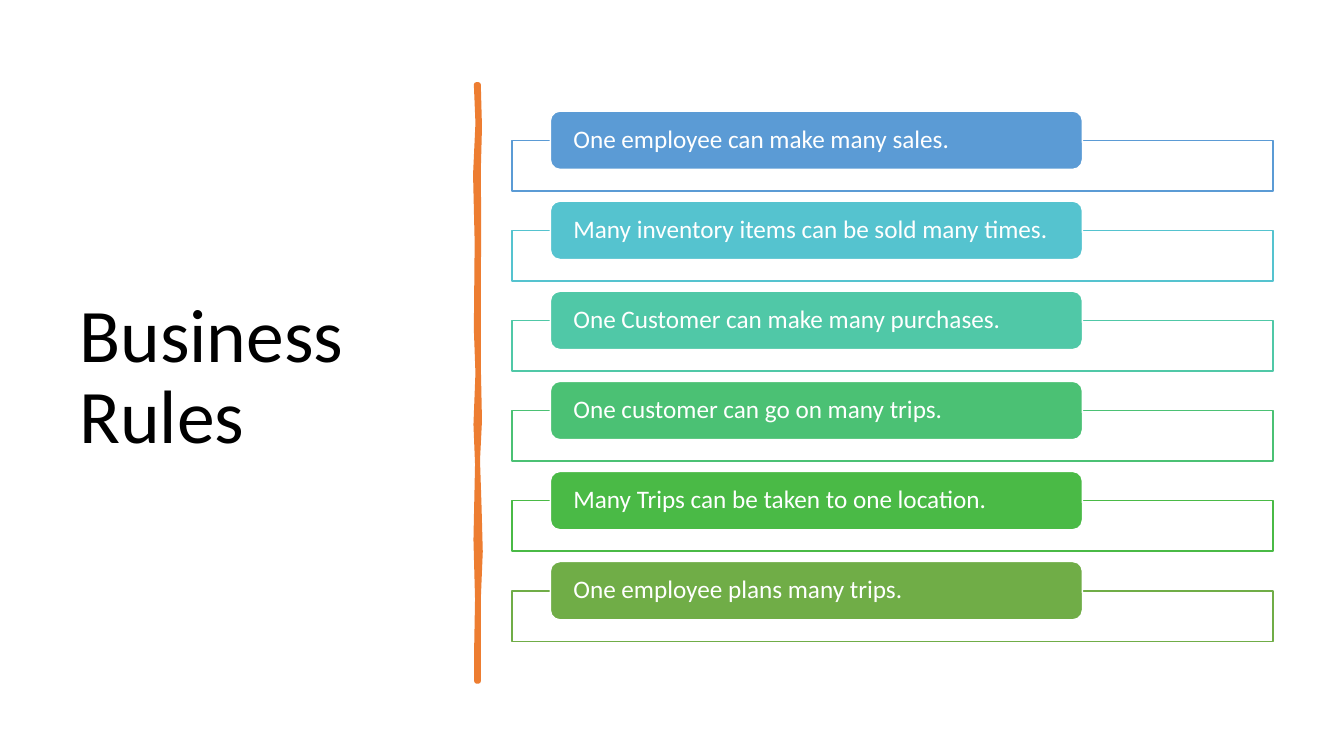
"""Build the Business Rules slide: a title, a hand-drawn divider and six rule bars."""
import pptx
import pptx.dml.color
import pptx.enum.shapes
import pptx.enum.text
import pptx.util

Cm = pptx.util.Cm
Pt = pptx.util.Pt
MSO_SHAPE = pptx.enum.shapes.MSO_SHAPE


def paint(shape, fill, line, width):
    shape.shadow.inherit = False
    shape.fill.solid()
    shape.fill.fore_color.rgb = pptx.dml.color.RGBColor.from_string(fill)
    shape.line.color.rgb = pptx.dml.color.RGBColor.from_string(line)
    shape.line.width = Pt(width)


def write(shape, text, size, color, inset, inset_y):
    frame = shape.text_frame
    frame.word_wrap = True
    frame.vertical_anchor = pptx.enum.text.MSO_ANCHOR.MIDDLE
    frame.margin_left = frame.margin_right = Cm(inset)
    frame.margin_top = frame.margin_bottom = Cm(inset_y)
    frame.text = text
    paragraph = frame.paragraphs[0]
    paragraph.alignment = pptx.enum.text.PP_ALIGN.LEFT
    paragraph.line_spacing = 0.9
    font = paragraph.runs[0].font
    font.name = "Calibri"
    font.size = Pt(size)
    font.color.rgb = pptx.dml.color.RGBColor.from_string(color)


presentation = pptx.Presentation()
presentation.slide_width = Cm(33.87)
presentation.slide_height = Cm(19.05)
slide = presentation.slides.add_slide(presentation.slide_layouts[6])

title = slide.shapes.add_textbox(Cm(1.75), Cm(1.78), Cm(9.5), Cm(15.52))
write(title, "Business Rules", 54, "000000", 0.25, 0.13)

divider_right = [
    (12.06, 2.13), (12.09, 3.2), (12.06, 4.3), (12.07, 5.6), (12.06, 7.4),
    (12.06, 9.2), (12.09, 10.6), (12.04, 11.6), (12.08, 12.8), (12.11, 13.9),
    (12.06, 15.1), (12.06, 17.17),
]
divider_left = [
    (12.01, 17.17), (12.01, 16.2), (12.03, 15.1), (11.99, 13.6), (12.03, 11.7),
    (11.99, 10.7), (12.04, 9.4), (12.0, 8.3), (12.02, 6.1), (11.98, 4.4),
    (12.04, 3.1), (12.0, 2.13),
]
outline = [(x * 100, y * 100) for x, y in divider_right + divider_left]
builder = slide.shapes.build_freeform(*outline[0], scale=Cm(0.01))
builder.add_line_segments(outline[1:])
divider = builder.convert_to_shape()
paint(divider, "ED7D31", "ED7D31", 3.25)

rules = [
    ("One employee can make many sales.", "5B9BD5"),
    ("Many inventory items can be sold many times.", "55C3CF"),
    ("One Customer can make many purchases.", "50C8A7"),
    ("One customer can go on many trips.", "4BC174"),
    ("Many Trips can be taken to one location.", "4ABA46"),
    ("One employee plans many trips.", "70AD47"),
]
first_top = 2.8
pitch = 2.27
for index, (rule, color) in enumerate(rules):
    top = first_top + index * pitch
    frame_box = slide.shapes.add_shape(
        MSO_SHAPE.RECTANGLE, Cm(12.9), Cm(top + 0.74), Cm(19.18), Cm(1.27))
    paint(frame_box, "FFFFFF", color, 1)
    bar = slide.shapes.add_shape(
        MSO_SHAPE.ROUNDED_RECTANGLE, Cm(13.87), Cm(top), Cm(13.41), Cm(1.47))
    paint(bar, color, "FFFFFF", 1)
    write(bar, rule, 18, "FFFFFF", 0.51, 0)

presentation.save("out.pptx")
